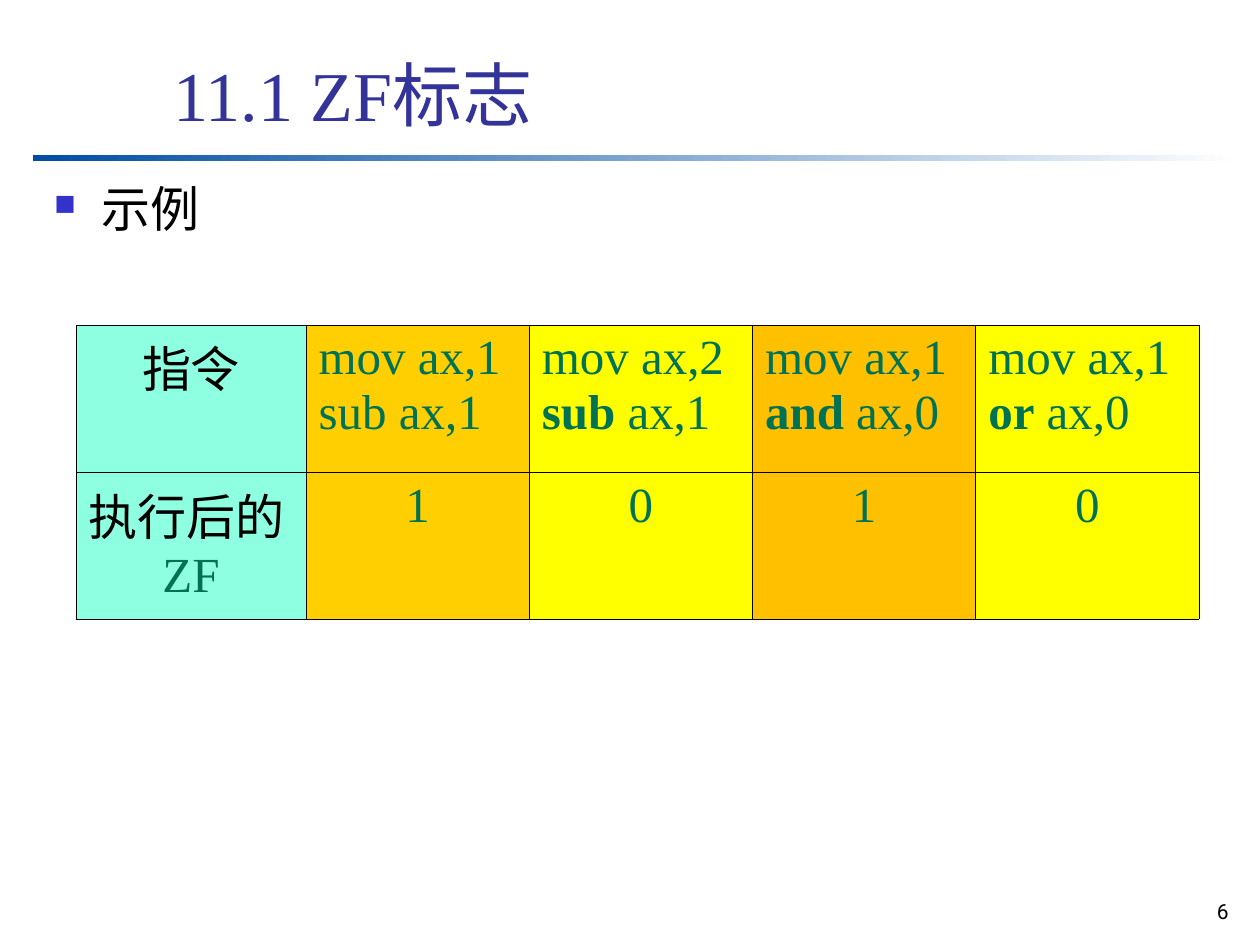
import collections
import pptx
import pptx.dml.color
import pptx.enum.shapes
import pptx.enum.text
import pptx.oxml
import pptx.oxml.ns
import pptx.util

Cm = pptx.util.Cm
Pt = pptx.util.Pt
RGB = pptx.dml.color.RGBColor.from_string
ALIGN = pptx.enum.text.PP_ALIGN
ANCHOR = pptx.enum.text.MSO_ANCHOR

Box = collections.namedtuple("Box", "left top width height")
Theme = collections.namedtuple(
    "Theme",
    "serif sans title_size body_size number_size title ink code bullet "
    "rule_start rule_end label amber yellow orange border border_width",
)
THEME = Theme(
    serif="Times New Roman", sans="Roboto",
    title_size=40, body_size=28, number_size=12,
    title="333399", ink="000000", code="007254", bullet="3333CC",
    rule_start="004EA2", rule_end="FFFFFF",
    label="8EFFE1", amber="FFCF01", yellow="FFFF00", orange="FFC000",
    border="000000", border_width=0.45,
)

EXAMPLES = [
    ([["mov ax,1"], ["sub ax,1"]], "1", THEME.amber),
    ([["mov ax,2"], ["sub", " ax,1"]], "0", THEME.yellow),
    ([["mov ax,1"], ["and", " ax,0"]], "1", THEME.orange),
    ([["mov ax,1"], ["or", " ax,0"]], "0", THEME.yellow),
]


def xml(tag, content="", attributes=""):
    namespace = pptx.oxml.ns.nsdecls("a")
    return pptx.oxml.parse_xml(f"<a:{tag} {namespace} {attributes}>{content}</a:{tag}>")


def style_runs(paragraph, size, color, font=THEME.serif):
    for run in paragraph.runs:
        run.font.name = font
        run.font.size = Pt(size)
        run.font.color.rgb = RGB(color)


def add_line(slide, box, text, size, color, font=THEME.serif, anchor=ANCHOR.TOP):
    frame = slide.shapes.add_textbox(*map(Cm, box)).text_frame
    frame.word_wrap = True
    frame.vertical_anchor = anchor
    frame.text = text
    line = frame.paragraphs[0]
    style_runs(line, size, color, font)
    return line


def add_header(slide, box):
    rule = slide.shapes.add_shape(
        pptx.enum.shapes.MSO_SHAPE.RECTANGLE,
        Cm(box.left), Cm(box.top + box.height - 0.13), Cm(box.width), Cm(0.13),
    )
    rule.shadow.inherit = False
    rule.line.fill.background()
    rule.fill.gradient()
    rule.fill.gradient_angle = 0
    for stop, color in zip(rule.fill.gradient_stops, (THEME.rule_start, THEME.rule_end)):
        stop.color.rgb = RGB(color)

    title_box = Box(box.left + 2.59, box.top, 21.64, 2.39)
    add_line(slide, title_box, "11.1 ZF标志", THEME.title_size, THEME.title,
             anchor=ANCHOR.BOTTOM)


def add_body(slide, box):
    topic = add_line(slide, box, "示例", THEME.body_size, THEME.ink)
    topic.line_spacing = 0.9
    properties = topic._p.get_or_add_pPr()
    properties.set("marL", str(Cm(0.95)))
    properties.set("indent", str(-Cm(0.95)))
    properties.append(xml("buClr", f'<a:srgbClr val="{THEME.bullet}"/>'))
    properties.append(xml("buSzPct", attributes='val="60000"'))
    properties.append(xml("buChar", attributes='char="■"'))


def fill_cell(cell, lines, fill, colors, alignments):
    properties = cell._tc.get_or_add_tcPr()
    for side in ("lnL", "lnR", "lnT", "lnB"):
        properties.append(xml(
            side,
            f'<a:solidFill><a:srgbClr val="{THEME.border}"/></a:solidFill>',
            f'w="{Pt(THEME.border_width)}"',
        ))
    cell.fill.solid()
    cell.fill.fore_color.rgb = RGB(fill)
    frame = cell.text_frame
    frame.text = "\n".join("".join(parts) for parts in lines)
    for paragraph, parts, color, alignment in zip(frame.paragraphs, lines, colors, alignments):
        paragraph.alignment = alignment
        if len(parts) > 1:
            opcode = paragraph.runs[0]
            opcode.text = parts[0]
            opcode.font.bold = True
            paragraph.add_run().text = parts[1]
        style_runs(paragraph, THEME.body_size, color)


def add_examples(slide, box):
    frame = slide.shapes.add_table(2, len(EXAMPLES) + 1, *map(Cm, box))
    table = frame.table
    table.first_row = False
    table.horz_banding = False
    example_width = 4.5
    label_width = box.width - example_width * len(EXAMPLES)
    for index, column in enumerate(table.columns):
        column.width = Cm(example_width if index else label_width)
    for row in table.rows:
        row.height = Cm(box.height / 2)

    fill_cell(table.cell(0, 0), [["指令"]], THEME.label, [THEME.ink], [ALIGN.CENTER])
    fill_cell(table.cell(1, 0), [["执行后的"], ["ZF"]], THEME.label,
              [THEME.ink, THEME.code], [ALIGN.LEFT, ALIGN.CENTER])
    for column, (code, flag, fill) in enumerate(EXAMPLES, start=1):
        fill_cell(table.cell(0, column), code, fill, [THEME.code] * 2, [ALIGN.LEFT] * 2)
        fill_cell(table.cell(1, column), [[flag]], fill, [THEME.code], [ALIGN.CENTER])


def add_page_number(slide, box):
    number = add_line(slide, box, "6", THEME.number_size, THEME.ink, THEME.sans)
    number.alignment = ALIGN.RIGHT


def main():
    deck = pptx.Presentation()
    deck.slide_width, deck.slide_height = Cm(25.4), Cm(19.05)
    slide = deck.slides.add_slide(deck.slide_layouts[6])
    add_header(slide, Box(0.66, 0.46, 24.38, 2.79))
    add_page_number(slide, Box(23.32, 17.98, 1.7, 0.84))
    add_body(slide, Box(0.84, 3.61, 24.03, 14.4))
    add_examples(slide, Box(1.53, 6.55, 22.64, 5.93))
    deck.save("out.pptx")


if __name__ == "__main__":
    main()
